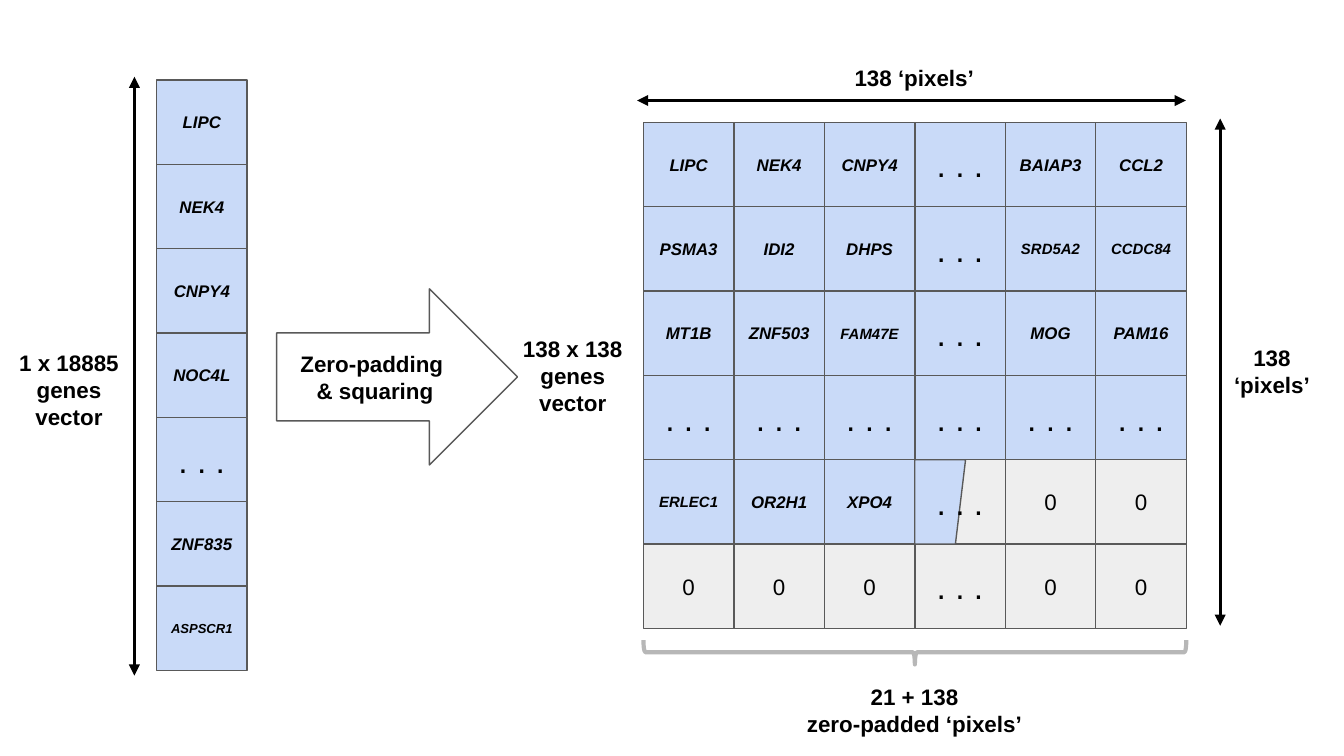
from dataclasses import dataclass

from lxml.etree import SubElement
from pptx import Presentation
from pptx.dml.color import RGBColor
from pptx.enum.shapes import MSO_CONNECTOR as Connector, MSO_SHAPE as Preset
from pptx.enum.text import MSO_ANCHOR as Anchor, PP_ALIGN as Align
from pptx.oxml.ns import qn
from pptx.util import Cm, Pt


@dataclass(frozen=True)
class Theme:
    font: str = "Arial"
    ink: str = "000000"
    gene_fill: str = "C9DAF8"
    zero_fill: str = "EEEEEE"
    outline: str = "595959"
    brace: str = "B7B7B7"
    label_size: int = 12
    gene_size: int = 9
    dots_size: int = 18
    thin: float = 0.75
    medium: float = 1.5
    thick: float = 2.25


THEME = Theme()
DOTS = ". . ."
SMALL_GENES = {"ASPSCR1": 7, "SRD5A2": 8, "CCDC84": 8, "FAM47E": 8, "ERLEC1": 8}

VECTOR = ["LIPC", "NEK4", "CNPY4", "NOC4L", DOTS, "ZNF835", "ASPSCR1"]
MATRIX = [
    ["LIPC", "NEK4", "CNPY4", DOTS, "BAIAP3", "CCL2"],
    ["PSMA3", "IDI2", "DHPS", DOTS, "SRD5A2", "CCDC84"],
    ["MT1B", "ZNF503", "FAM47E", DOTS, "MOG", "PAM16"],
    [DOTS] * 6,
    ["ERLEC1", "OR2H1", "XPO4", "", "0", "0"],
    ["0", "0", "0", DOTS, "0", "0"],
]
MIXED_ROW, MIXED_COLUMN = 4, 3  # the cell where genes end and padding begins

CELL_WIDTH, CELL_HEIGHT = 1.71, 9.57 / 6
VECTOR_LEFT, VECTOR_TOP = 2.96, 1.51
MATRIX_LEFT, MATRIX_TOP = 12.16, 2.31


def set_all(target, values):
    for name, value in values.items():
        setattr(target, name, value)


def text_style(text):
    """Font values that suit the content of a cell."""
    if text == DOTS:
        return {"size": Pt(THEME.dots_size)}
    if text == "0":
        return {"size": Pt(THEME.label_size)}
    size = SMALL_GENES.get(text, THEME.gene_size)
    return {"size": Pt(size), "bold": True, "italic": True}


class Painter:
    def __init__(self, page, theme):
        self.page = page
        self.theme = theme
        self.label_style = {"size": Pt(theme.label_size), "bold": True}

    def fill_text(self, box, text, style):
        frame = box.text_frame
        margins = dict.fromkeys(
            ("margin_left", "margin_right", "margin_top", "margin_bottom"), Cm(0.25))
        set_all(frame, {"word_wrap": True, "vertical_anchor": Anchor.MIDDLE, **margins})
        for index, line in enumerate(text.split("\n")):
            para = frame.add_paragraph() if index else frame.paragraphs[0]
            para.alignment = Align.CENTER
            span = para.add_run()
            span.text = line
            set_all(span.font, {"name": self.theme.font, **style})
            span.font.color.rgb = RGBColor.from_string(self.theme.ink)

    def label(self, left, top, width, height, text, style=None):
        box = self.page.shapes.add_textbox(Cm(left), Cm(top), Cm(width), Cm(height))
        self.fill_text(box, text, style or self.label_style)

    def shape(self, preset, left, top, width, height, fill=None, line=None, weight=None):
        box = self.page.shapes.add_shape(preset, Cm(left), Cm(top), Cm(width), Cm(height))
        box.shadow.inherit = False
        if fill:
            box.fill.solid()
            box.fill.fore_color.rgb = RGBColor.from_string(fill)
        else:
            box.fill.background()
        box.line.color.rgb = RGBColor.from_string(line or self.theme.outline)
        box.line.width = Pt(weight or self.theme.thin)
        return box

    def quarter_turned(self, preset, left, top, width, height, **look):
        """Add a shape that fills the given area after a turn of 90 degrees."""
        shift = (width - height) / 2
        box = self.shape(preset, left + shift, top - shift, height, width, **look)
        box.rotation = 90
        return box

    def cell(self, left, top, text, fill):
        box = self.shape(Preset.RECTANGLE, left, top, CELL_WIDTH, CELL_HEIGHT, fill)
        if text:
            self.fill_text(box, text, text_style(text))

    def double_arrow(self, x1, y1, x2, y2):
        arrow = self.page.shapes.add_connector(
            Connector.STRAIGHT, Cm(x1), Cm(y1), Cm(x2), Cm(y2))
        arrow.line.color.rgb = RGBColor.from_string(self.theme.ink)
        arrow.line.width = Pt(self.theme.medium)
        properties = arrow._element.spPr
        outline = properties.find(qn("a:ln"))
        for end in ("a:headEnd", "a:tailEnd"):
            SubElement(outline, qn(end), type="triangle")
        SubElement(properties, qn("a:effectLst"))


def draw_vector(painter):
    for row, gene in enumerate(VECTOR):
        painter.cell(VECTOR_LEFT, VECTOR_TOP + row * CELL_HEIGHT, gene, THEME.gene_fill)
    painter.double_arrow(2.54, 1.45, 2.54, 12.77)
    painter.label(0.06, 5.84, 2.49, 3.05, "1 x 18885 genes vector")


def draw_step(painter):
    step = painter.shape(Preset.RIGHT_ARROW, 5.23, 5.46, 4.55, 3.33)
    painter.fill_text(step, "Zero-padding \n& squaring", painter.label_style)
    painter.label(9.58, 5.44, 2.49, 3.33, "138 x 138 genes vector")


def draw_matrix(painter):
    for row, texts in enumerate(MATRIX):
        for column, text in enumerate(texts):
            padded = (row, column) >= (MIXED_ROW, MIXED_COLUMN)
            painter.cell(MATRIX_LEFT + column * CELL_WIDTH, MATRIX_TOP + row * CELL_HEIGHT,
                         text, THEME.zero_fill if padded else THEME.gene_fill)

    left = MATRIX_LEFT + MIXED_COLUMN * CELL_WIDTH
    top = MATRIX_TOP + MIXED_ROW * CELL_HEIGHT
    last_genes = painter.quarter_turned(Preset.FLOWCHART_MANUAL_INPUT, left, top,
                                        0.96, CELL_HEIGHT, fill=THEME.gene_fill)
    last_genes._element.spPr.find(qn("a:xfrm")).set("flipH", "1")
    painter.label(left, top, CELL_WIDTH, CELL_HEIGHT, DOTS, text_style(DOTS))


def draw_dimensions(painter):
    painter.double_arrow(12.04, 1.9, 22.41, 1.9)
    painter.label(15.72, 0.84, 3.12, 1.24, "138 ‘pixels’")
    painter.double_arrow(23.06, 2.24, 23.06, 11.83)
    painter.label(23.04, 6.4, 2, 1.24, "138 ‘pixels’")

    brace = painter.quarter_turned(Preset.RIGHT_BRACE, MATRIX_LEFT, 12.1, 6 * CELL_WIDTH,
                                   0.46, line=THEME.brace, weight=THEME.thick)
    brace.adjustments[0] = 0.08
    painter.label(14.07, 12.73, 6.43, 1.4, "21 + 138\nzero-padded ‘pixels’")


def main():
    deck = Presentation()
    set_all(deck, {"slide_width": Cm(25.4), "slide_height": Cm(14.29)})
    page = deck.slides.add_slide(deck.slide_layouts[6])
    painter = Painter(page, THEME)
    for draw in (draw_vector, draw_step, draw_matrix, draw_dimensions):
        draw(painter)
    deck.save("out.pptx")


if __name__ == "__main__":
    main()
